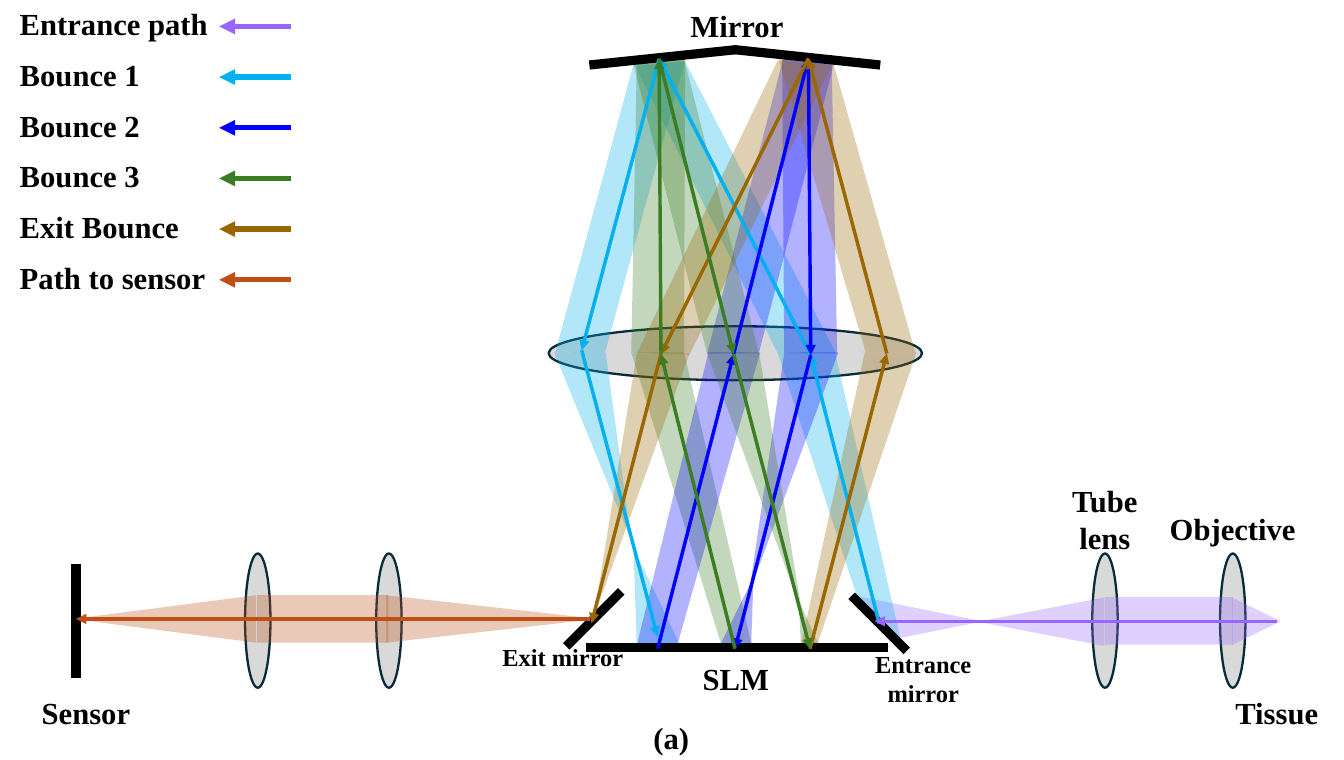
"""Build the slide showing the multi-bounce optical path diagram."""
from dataclasses import dataclass

import lxml.etree
import pptx
import pptx.dml.color
import pptx.enum.dml
import pptx.enum.shapes
import pptx.enum.text
import pptx.oxml.ns
import pptx.util

Pt = pptx.util.Pt
qn = pptx.oxml.ns.qn
SHAPE = pptx.enum.shapes.MSO_SHAPE
ALIGN = pptx.enum.text.PP_ALIGN


@dataclass(frozen=True)
class Theme:
    font: str = "Times New Roman"
    label_size: float = 20
    small_size: float = 16
    ink: str = "000000"
    glass: str = "D9D9D9"
    glass_edge: str = "092A39"
    entrance: str = "9966FF"
    bounce_1: str = "00B0F0"
    bounce_2: str = "0000FF"
    bounce_3: str = "3B7D23"
    exit_bounce: str = "996600"
    sensor: str = "C04F15"
    beam_opacity: int = 30
    glass_line: float = 1.5
    ray_line: float = 2.25
    legend_line: float = 3.5
    wall_line: float = 6


THEME = Theme()

LEGEND = [
    ("Entrance path", THEME.entrance),
    ("Bounce 1", THEME.bounce_1),
    ("Bounce 2", THEME.bounce_2),
    ("Bounce 3", THEME.bounce_3),
    ("Exit Bounce", THEME.exit_bounce),
    ("Path to sensor", THEME.sensor),
]
LEGEND_STEP = 33.12

LENSES = [(x, 405.7, 16.6, 87.8) for x in (168.5, 254.2, 805.7, 722.2)]
LENSES.append((480.6, 230.9, 244.1, 35.3))

BEAMS = [
    (THEME.entrance, [(589, 416.9), (642.2, 406.1), (559.4, 389.5)]),
    (THEME.bounce_1, [(415.4, 43.2), (508.3, 231.1), (546.5, 231.1), (447.8, 40.3)]),
    (THEME.bounce_1, [(447.8, 39.6), (395.3, 231.1), (362.9, 230.4), (414, 42.5)]),
    (THEME.bounce_2, [(462.2, 231.1), (511.9, 38.2), (545, 41.8), (496.1, 230.4)]),
    (THEME.bounce_2, [(547.2, 231.1), (543.6, 41), (511.2, 36.7), (512.6, 230.4)]),
    (THEME.bounce_3, [(412.6, 230.4), (416.2, 41), (447.8, 36.7), (447.1, 231.1)]),
    (THEME.bounce_3, [(496.1, 231.1), (447.1, 38.2), (414, 41.8), (462.2, 231.1)]),
    (THEME.exit_bounce, [(598.3, 230.4), (545, 42.5), (509, 38.9), (565.9, 230.4)]),
    (THEME.exit_bounce, [(416.2, 231.1), (508.3, 39.6), (543.6, 42.5), (450.7, 231.8)]),
    (THEME.bounce_3, [(491, 420.5), (447.1, 230.4), (412.6, 230.4), (471.6, 421.9)]),
    (THEME.bounce_1, [(545.8, 230.4), (589, 419.8), (560.2, 390.2), (508.3, 231.1)]),
    (THEME.bounce_1, [(396, 231.1), (412.6, 353.5), (362.2, 230.4)]),
    (THEME.bounce_1, [(416.2, 421.2), (414, 357.8), (444.2, 421.2)]),
    (THEME.bounce_2, [(512.6, 230.4), (489.6, 387.4), (547.9, 230.4)]),
    (THEME.bounce_2, [(416.2, 421.9), (463, 230.4), (496.8, 230.4), (442.8, 421.2)]),
    (THEME.bounce_3, [(496.1, 230.4), (524.2, 400.3), (462.2, 231.1)]),
    (THEME.bounce_3, [(523.4, 420.5), (522, 392.4), (535, 421.2)]),
    (THEME.exit_bounce, [(523.4, 421.9), (565.2, 230.4), (599, 230.4), (534.2, 421.2)]),
    (THEME.exit_bounce, [(416.2, 231.1), (388.1, 403.2), (450.7, 231.1)]),
    (THEME.bounce_2, [(491, 421.2), (492.5, 377.3), (470.9, 421.2)]),
]

COLLIMATED = [
    (THEME.sensor, 168.1, 404.6, 85.7, 31),
    (THEME.entrance, 722.2, 405.9, 83.5, 31),
]
CONES = [
    (THEME.sensor, 47.9, 404.6, 119.5, 31, 270),
    (THEME.sensor, 252.4, 404.6, 138.2, 31, 90),
    (THEME.entrance, 639, 406.4, 82.8, 31.7, 270),
    (THEME.entrance, 805.3, 406.1, 31.7, 31, 90),
]

WALLS = [
    ((383, 423.4), (580.3, 423.4)),
    ((385.2, 42.5), (481.7, 32.4)),
    ((479.5, 32.4), (575.3, 42.5)),
    ((556.6, 389.5), (592.6, 425.5)),
    ((406.1, 386.6), (370.1, 422.6)),
    ((49.7, 368.6), (49.7, 443.5)),
]

MIRROR_LEFT, MIRROR_RIGHT = (430.8, 38.4), (528.4, 38.2)
LENS_FAR_LEFT, LENS_LEFT, LENS_MIDDLE = (380.2, 229), (432, 231.5), (479.5, 231.5)
LENS_RIGHT, LENS_FAR_RIGHT = (529.9, 232.2), (579.6, 231.1)
SLM_LEFT, SLM_MIDDLE, SLM_RIGHT = (429.8, 424.1), (480.4, 424.1), (529.4, 424.1)
SLM_FIRST_HIT = (429.8, 416.2)
EXIT_MIRROR, ENTRANCE_MIRROR = (386.6, 407.5), (574.6, 407.5)

RAYS = [
    (THEME.bounce_1, [ENTRANCE_MIRROR, LENS_RIGHT, MIRROR_LEFT, LENS_FAR_LEFT, SLM_FIRST_HIT]),
    (THEME.entrance, [(834.5, 406.1), (571.7, 406.1)]),
    (THEME.sensor, [(385.9, 404.6), (49.7, 404.6)]),
    (THEME.bounce_2, [SLM_LEFT, LENS_MIDDLE, MIRROR_RIGHT, LENS_RIGHT, SLM_MIDDLE]),
    (THEME.exit_bounce, [SLM_RIGHT, LENS_FAR_RIGHT, MIRROR_RIGHT, LENS_LEFT, EXIT_MIRROR]),
    (THEME.bounce_3, [SLM_MIDDLE, LENS_LEFT, MIRROR_LEFT, LENS_MIDDLE, SLM_RIGHT]),
]

LABELS = [
    ("Tissue", 776.9, 450, 115.2, 31.7, THEME.label_size),
    ("Sensor", -1.4, 450, 115.2, 31.7, THEME.label_size),
    ("Objective", 748.1, 329.8, 115.2, 31.7, THEME.label_size),
    ("Tube lens", 677.5, 311.8, 89.3, 55.4, THEME.label_size),
    ("Mirror", 424.1, 0.7, 115.2, 31.7, THEME.label_size),
    ("SLM", 423.4, 427.7, 115.2, 31.7, THEME.label_size),
    ("Entrance mirror", 545.8, 420.5, 115.2, 46.1, THEME.small_size),
    ("Exit mirror", 317.9, 416.2, 100, 26.6, THEME.small_size),
    ("(a)", 364.3, 466.6, 149, 31.7, THEME.label_size),
]


def rgb(color):
    """Return the colour object for a hex string."""
    return pptx.dml.color.RGBColor.from_string(color)


def paint_beam(shape, color):
    """Give a shape a translucent fill without outline or shadow."""
    shape.shadow.inherit = False
    shape.line.fill.background()
    shape.fill.solid()
    shape.fill.fore_color.rgb = rgb(color)
    color_element = shape.fill._xPr.find(qn("a:solidFill"))[0]
    alpha = lxml.etree.SubElement(color_element, qn("a:alpha"))
    alpha.set("val", str(THEME.beam_opacity * 1000))


def add_lens(slide, center_x, center_y, width, height):
    """Add an elliptical lens around its centre."""
    shape = slide.shapes.add_shape(
        SHAPE.OVAL, Pt(center_x - width / 2), Pt(center_y - height / 2), Pt(width), Pt(height))
    shape.shadow.inherit = False
    shape.fill.solid()
    shape.fill.fore_color.rgb = rgb(THEME.glass)
    shape.line.color.rgb = rgb(THEME.glass_edge)
    shape.line.width = Pt(THEME.glass_line)


def add_beam(slide, color, points):
    """Add a translucent beam outlined by its corner points."""
    corners = [(Pt(x), Pt(y)) for x, y in points]
    builder = slide.shapes.build_freeform(*corners[0])
    builder.add_line_segments(corners[1:], close=True)
    paint_beam(builder.convert_to_shape(), color)


def add_collimated(slide, color, left, middle, length, height):
    """Add a beam of constant height."""
    paint_beam(slide.shapes.add_shape(
        SHAPE.RECTANGLE, Pt(left), Pt(middle - height / 2), Pt(length), Pt(height)), color)


def add_cone(slide, color, left, middle, length, height, rotation):
    """Add a beam that narrows to a point at its left or right end."""
    shape = slide.shapes.add_shape(
        SHAPE.ISOSCELES_TRIANGLE, Pt(left + (length - height) / 2), Pt(middle - length / 2),
        Pt(height), Pt(length))
    shape.rotation = rotation
    paint_beam(shape, color)


def add_line(slide, start, end, color, width, arrow=True):
    """Add a straight line, with an arrowhead at its end if wanted."""
    connector = slide.shapes.add_connector(
        pptx.enum.shapes.MSO_CONNECTOR.STRAIGHT, *(Pt(value) for value in (*start, *end)))
    connector.line.color.rgb = rgb(color)
    connector.line.width = Pt(width)
    if arrow:
        line = connector.line._get_or_add_ln()
        lxml.etree.SubElement(line, qn("a:tailEnd")).set("type", "triangle")
    lxml.etree.SubElement(connector._element.spPr, qn("a:effectLst"))


def add_label(slide, text, left, top, width, height, size, alignment=ALIGN.CENTER):
    """Add a bold text label."""
    shape = slide.shapes.add_textbox(Pt(left), Pt(top), Pt(width), Pt(height))
    shape.text_frame.word_wrap = True
    shape.text_frame.auto_size = pptx.enum.text.MSO_AUTO_SIZE.SHAPE_TO_FIT_TEXT
    paragraph = shape.text_frame.paragraphs[0]
    paragraph.alignment = alignment
    run = paragraph.add_run()
    run.text = text
    run.font.name = THEME.font
    run.font.size = Pt(size)
    run.font.bold = True
    run.font.color.rgb = rgb(THEME.ink)


def add_legend(slide):
    """Add the legend rows of names and arrows."""
    for row, (name, color) in enumerate(LEGEND):
        top = row * LEGEND_STEP
        add_label(slide, name, 5.8, top, 162, 31.7, THEME.label_size, ALIGN.LEFT)
        add_line(slide, (190.1, top + 17.3), (143.3, top + 17.3), color, THEME.legend_line)


def main():
    """Build and save the presentation."""
    presentation = pptx.Presentation()
    presentation.slide_width, presentation.slide_height = Pt(878.4), Pt(496.8)
    slide = presentation.slides.add_slide(presentation.slide_layouts[6])
    for lens in LENSES:
        add_lens(slide, *lens)
    for beam in COLLIMATED:
        add_collimated(slide, *beam)
    for cone in CONES:
        add_cone(slide, *cone)
    for color, points in BEAMS:
        add_beam(slide, color, points)
    for start, end in WALLS:
        add_line(slide, start, end, THEME.ink, THEME.wall_line, arrow=False)
    for color, stops in RAYS:
        for start, end in zip(stops, stops[1:]):
            add_line(slide, start, end, color, THEME.ray_line)
    for label in LABELS:
        add_label(slide, *label)
    add_legend(slide)
    presentation.save("out.pptx")


if __name__ == "__main__":
    main()
